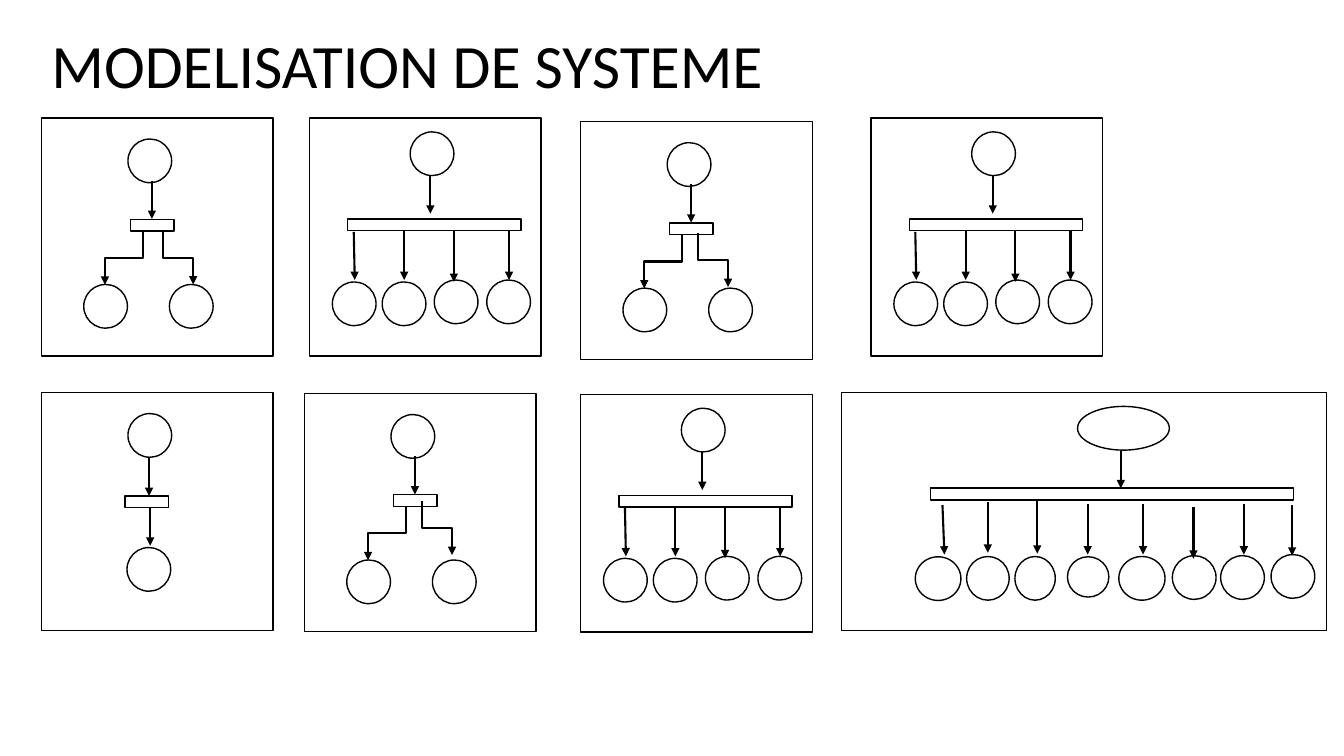
import pptx
import pptx.util
import pptx.dml.color
import pptx.enum.shapes
import pptx.enum.text
import pptx.oxml
import pptx.oxml.ns

Pt = pptx.util.Pt
SHAPE = pptx.enum.shapes.MSO_SHAPE
CONNECTOR = pptx.enum.shapes.MSO_CONNECTOR

COLORS = {"ink": "000000", "paper": "FFFFFF"}
PANEL_W, PANEL_H, WIDE_W = 165.6, 170, 346.3
NODE, BAR_H = 31.2, 8.4

# Child circles (x, y, width, height) and their arrows (x1, y1, x2, y2) in a panel
FOUR_NODES = [(x, y, NODE, NODE) for x, y in
              [(16.4, 117.2), (52, 117.2), (89.2, 115.8), (126.7, 115.8)]]
FOUR_ARROWS = [(31.7, 81.4, 32.4, 115.8), (67.7, 80, 67.7, 115.8),
               (103.2, 80, 103.2, 117.2), (142.6, 80, 142.6, 115.8)]
EIGHT_NODES = [(52.6, 117.4, 32.6, NODE), (89.3, 117.2, 30.4, NODE),
               (123.8, 117.2, 28.8, NODE), (161.3, 117.4, 29.6, 28.8),
               (198, 117.2, 33, NODE), (236.2, 116.6, NODE, NODE),
               (270.7, 116.6, NODE, NODE), (306.7, 115.8, NODE, NODE)]
EIGHT_ARROWS = [(72, 80.6, 73.4, 115.8), (104.4, 78.5, 104.4, 114.5),
                (139.7, 77.8, 139.7, 115.2), (175.7, 80, 175.7, 115.8),
                (215.3, 80, 215.3, 115.8), (251.3, 82, 251.3, 118.8),
                (287.3, 80, 287.3, 115.8), (321.8, 80.6, 321.8, 116.6)]


def color(name):
    return pptx.dml.color.RGBColor.from_string(COLORS[name])


def write(frame, text, size=18, font="Calibri", ink="ink", spacing=1.0):
    frame.word_wrap = True
    frame.vertical_anchor = pptx.enum.text.MSO_ANCHOR.MIDDLE
    paragraph = frame.paragraphs[0]
    paragraph.alignment = pptx.enum.text.PP_ALIGN.LEFT
    paragraph.line_spacing = spacing
    run = paragraph.add_run()
    run.text = text
    run.font.size = Pt(size)
    run.font.name = font
    run.font.color.rgb = color(ink)


def outline(shapes, kind, x, y, w, h):
    shape = shapes.add_shape(kind, Pt(x), Pt(y), Pt(w), Pt(h))
    shape.shadow.inherit = False
    shape.fill.solid()
    shape.fill.fore_color.rgb = color("paper")
    shape.line.color.rgb = color("ink")
    shape.line.width = Pt(1)


def arrow(shapes, x1, y1, x2, y2, kind=CONNECTOR.STRAIGHT):
    link = shapes.add_connector(kind, Pt(x1), Pt(y1), Pt(x2), Pt(y2))
    link.line.color.rgb = color("ink")
    link.line.width = Pt(1.5)
    head = pptx.oxml.parse_xml(
        '<a:tailEnd %s type="triangle"/>' % pptx.oxml.ns.nsdecls("a"))
    link.line._get_or_add_ln().append(head)
    link._element.spPr.append(pptx.oxml.parse_xml(
        "<a:effectLst %s/>" % pptx.oxml.ns.nsdecls("a")))
    return link


def elbow_down(shapes, x1, y1, x2, y2):
    """Leaves downwards, turns sideways half way, arrives downwards."""
    half_w, half_h = (y2 - y1) / 2, abs(x2 - x1) / 2
    mid_x, mid_y = (x1 + x2) / 2, (y1 + y2) / 2
    # The box lies on its side, then turns; a mirrored box leads to the right
    side, angle = (1, 270) if x2 > x1 else (-1, 90)
    link = arrow(shapes, mid_x + side * half_w, mid_y - half_h,
                 mid_x - side * half_w, mid_y + half_h, CONNECTOR.ELBOW)
    xfrm = link._element.spPr.find(pptx.oxml.ns.qn("a:xfrm"))
    xfrm.set("rot", str(angle * 60000))


def panel_frame(shapes, x, y, width=PANEL_W):
    outline(shapes, SHAPE.RECTANGLE, x, y, width, PANEL_H)


# Panel with one parent and one child
def chain_panel(shapes, x, y):
    panel_frame(shapes, x, y)
    outline(shapes, SHAPE.OVAL, x + 61.9, y + 15.1, NODE, NODE)
    arrow(shapes, x + 77, y + 46.6, x + 77, y + 74)
    outline(shapes, SHAPE.OVAL, x + 61.2, y + 110.8, NODE, NODE)
    outline(shapes, SHAPE.RECTANGLE, x + 59.8, y + 74, NODE, BAR_H)
    arrow(shapes, x + 77.8, y + 82.2, x + 77.8, y + 109.6)


# Panel with one parent and two children
def pair_panel(shapes, x, y, right_start):
    panel_frame(shapes, x, y)
    outline(shapes, SHAPE.OVAL, x + 61.9, y + 15.1, NODE, NODE)
    arrow(shapes, x + 79, y + 44.8, x + 79, y + 72.2)
    outline(shapes, SHAPE.RECTANGLE, x + 63.5, y + 72.4, NODE, BAR_H)
    for child_x in (91.5, 30.3):
        outline(shapes, SHAPE.OVAL, x + child_x, y + 119, NODE, NODE)
    right_x, right_y = x + right_start[0], y + right_start[1]
    elbow_down(shapes, right_x, right_y, right_x + 21.3, right_y + 38.4)
    elbow_down(shapes, x + 72.5, y + 80.8, x + 45.5, y + 119.2)


# Panel with one parent and a row of children under a long bar
def fan_panel(shapes, x, y, nodes=FOUR_NODES, arrows=FOUR_ARROWS, width=PANEL_W,
              root=(72, NODE), stem=87, bar=(27.4, 72.2, 123.8)):
    panel_frame(shapes, x, y, width)
    outline(shapes, SHAPE.OVAL, x + root[0], y + 10, root[1], NODE)
    arrow(shapes, x + stem, y + 41, x + stem, y + 68.4)
    outline(shapes, SHAPE.RECTANGLE, x + bar[0], y + bar[1], bar[2], BAR_H)
    for node_x, node_y, w, h in nodes:
        outline(shapes, SHAPE.OVAL, x + node_x, y + node_y, w, h)
    for x1, y1, x2, y2 in arrows:
        arrow(shapes, x + x1, y + y1, x + x2, y + y2)


def heading(slide, x, y, w, h):
    title = slide.shapes.title
    title.left, title.top, title.width, title.height = Pt(x), Pt(y), Pt(w), Pt(h)
    write(title.text_frame, "MODELISATION DE SYSTEME", size=44, spacing=0.9)


def main():
    deck = pptx.Presentation()
    deck.slide_width, deck.slide_height = Pt(960), Pt(540)
    slide = deck.slides.add_slide(deck.slide_layouts[5])
    shapes = slide.shapes
    heading(slide, 29.5, 15.1, 537.8, 68.4)

    # Upper row
    pair_panel(shapes, 29.5, 84.2, right_start=(87.2, 80.6))
    fan_panel(shapes, 221, 84.2, stem=86.4)
    pair_panel(shapes, 414.7, 86.8, right_start=(84, 79.8))
    fan_panel(shapes, 622.1, 84.2)

    # Lower row
    chain_panel(shapes, 29.5, 280.3)
    pair_panel(shapes, 217.4, 281, right_start=(84.2, 77))
    fan_panel(shapes.add_group_shape().shapes, 414.7, 281.6)
    fan_panel(shapes.add_group_shape().shapes, 601.2, 280.3, EIGHT_NODES,
              EIGHT_ARROWS, WIDE_W, root=(168.5, 65.6), stem=199.4,
              bar=(63.4, 68.4, 259.2))
    deck.save("out.pptx")


if __name__ == "__main__":
    main()
